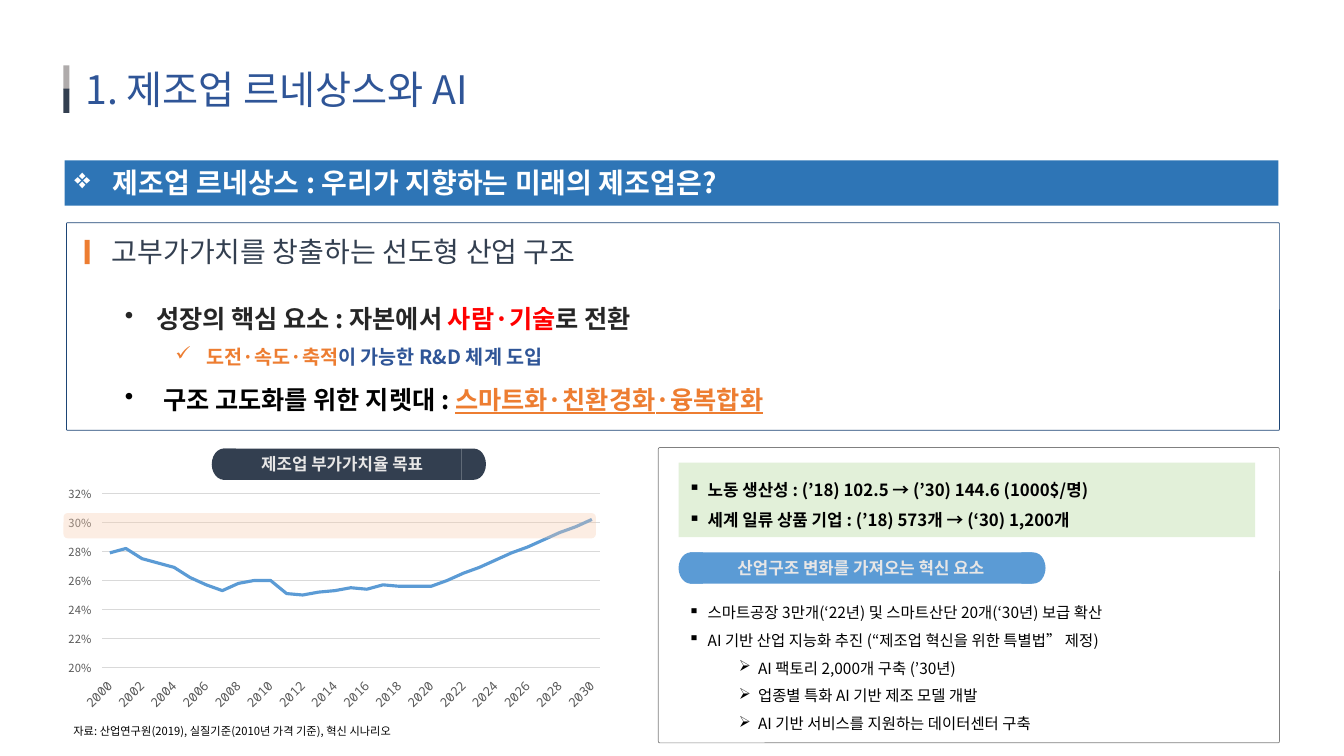
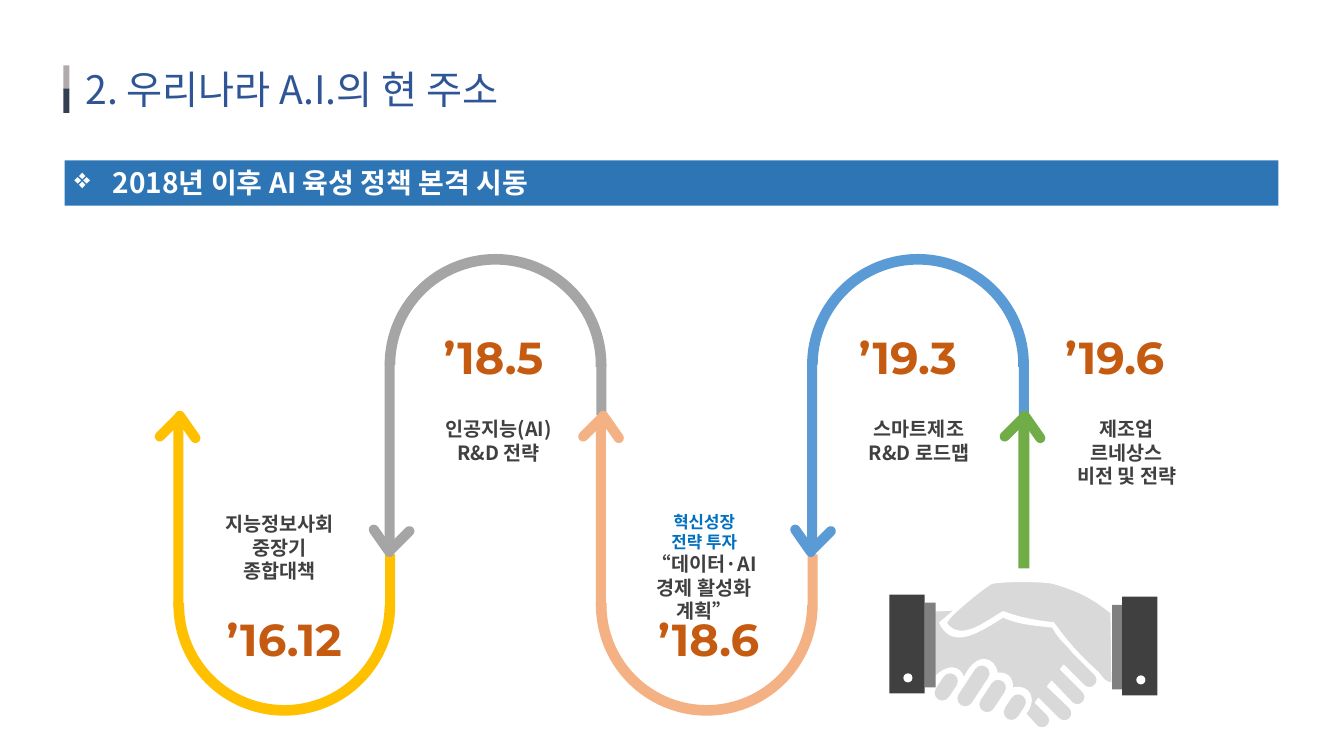
from dataclasses import dataclass
from typing import NamedTuple

from lxml.etree import SubElement
from pptx import Presentation
from pptx.chart.data import CategoryChartData
from pptx.dml.color import RGBColor
from pptx.enum.chart import (XL_AXIS_CROSSES as Crosses, XL_CHART_TYPE as ChartType,
                             XL_TICK_LABEL_POSITION as LabelPosition, XL_TICK_MARK as TickMark)
from pptx.enum.shapes import MSO_SHAPE as Preset
from pptx.enum.text import MSO_ANCHOR as Anchor, PP_ALIGN as Align
from pptx.oxml import parse_xml
from pptx.oxml.ns import nsdecls, qn
from pptx.shapes.autoshape import Shape
from pptx.slide import Slide
from pptx.util import Inches, Pt

COLORS = {
    "title": "2F5597", "navy": "333F50", "silver": "AFABAB", "band": "2E75B6",
    "white": "FFFFFF", "frame": "1D4575", "orange": "ED7D31", "ink": "262626",
    "red": "FF0000", "black": "000000", "pale": "E7E6E6", "blue": "5B9BD5",
    "grid": "D9D9D9", "label": "595959", "peach": "F8CBAD", "gray": "808080",
    "mint": "E2F0D9", "yellow": "FFC000", "road": "A5A5A5", "apricot": "F4B183",
    "green": "70AD47", "date": "C55A11", "dark": "404040", "azure": "0070C0",
}
KOREAN, LATIN, MONO, SYMBOL = "Noto Sans CJK KR", "Montserrat", "Noto Sans Mono", "OpenSymbol"


class Box(NamedTuple):
    left: float
    top: float
    width: float
    height: float


class Run(NamedTuple):
    text: str
    color: str
    size: float
    bold: bool = False
    underline: bool = False
    font: str = KOREAN


@dataclass
class Line:
    runs: list[Run]
    bullet: str = ""
    indent: float = 0
    hanging: float = 0
    level: int = 0
    spacing: float = 1.0
    align: Align = Align.LEFT


@dataclass
class Curve:
    color: str
    valley: bool
    head_shift: float = 0


@dataclass
class Milestone:
    date: str
    date_box: Box
    text_box: Box
    lines: list[Run]


def rgb(name: str) -> RGBColor:
    return RGBColor.from_string(COLORS[name])


def paint(shape: Shape, fill: str, line: str = "", weight: float = 0.5) -> Shape:
    shape.shadow.inherit = False
    shape.fill.solid()
    shape.fill.fore_color.rgb = rgb(fill)
    if line:
        shape.line.color.rgb = rgb(line)
        shape.line.width = Pt(weight)
    else:
        shape.line.fill.background()
    return shape


def add_shape(slide: Slide, preset: Preset, box: Box, fill: str, line: str = "",
              weight: float = 0.5, rotation: float = 0,
              adjustments: tuple[float, ...] = ()) -> Shape:
    shape = slide.shapes.add_shape(preset, *map(Inches, box))
    shape.rotation = rotation
    for index, value in enumerate(adjustments):
        shape.adjustments[index] = value
    return paint(shape, fill, line, weight)


def write(shape: Shape, lines: list[Line], anchor: Anchor = Anchor.MIDDLE) -> None:
    frame = shape.text_frame
    frame.word_wrap = True
    frame.vertical_anchor = anchor
    for index, line in enumerate(lines):
        paragraph = frame.add_paragraph() if index else frame.paragraphs[0]
        formats = {"alignment": line.align, "level": line.level, "line_spacing": line.spacing}
        for name, value in formats.items():
            setattr(paragraph, name, value)
        if line.bullet:
            properties = paragraph._p.get_or_add_pPr()
            properties.set("marL", str(Inches(line.indent)))
            properties.set("indent", str(-Inches(line.hanging)))
            SubElement(properties, qn("a:buFont")).set("typeface", SYMBOL)
            SubElement(properties, qn("a:buChar")).set("char", line.bullet)
        for item in line.runs:
            run = paragraph.add_run()
            run.text = item.text
            formats = {"name": item.font, "size": Pt(item.size), "bold": item.bold,
                       "underline": item.underline}
            for name, value in formats.items():
                setattr(run.font, name, value)
            run.font.color.rgb = rgb(item.color)
            SubElement(run._r.get_or_add_rPr(), qn("a:ea")).set("typeface", item.font)


def add_text(slide: Slide, box: Box, lines: list[Line], anchor: Anchor = Anchor.MIDDLE) -> None:
    write(slide.shapes.add_textbox(*map(Inches, box)), lines, anchor)


def centered(runs: list[Run]) -> list[Line]:
    return [Line([run], align=Align.CENTER) for run in runs]


def add_page(presentation: Presentation, title: str, heading: str) -> Slide:
    slide = presentation.slides.add_slide(presentation.slide_layouts[6])
    add_text(slide, Box(0.75, 0.5, 8.78, 0.76), [Line([Run(title, "title", 28)])])
    for top, color in ((0.65, "silver"), (0.88, "navy")):
        add_shape(slide, Preset.RECTANGLE, Box(0.63, top, 0.06, 0.24), color)
    band = add_shape(slide, Preset.RECTANGLE, Box(0.64, 1.59, 12.04, 0.45), "band")
    write(band, [Line([Run(heading, "white", 20, True)], "❖", 0.38, 0.38)], Anchor.TOP)
    return slide


def add_pill(slide: Slide, box: Box, body: float, color: str, text: str) -> None:
    center = add_shape(slide, Preset.RECTANGLE,
                       Box(box.left + 0.11, box.top, body, box.height), color)
    write(center, centered([Run(text, "pale", 12, True)]))
    for left, rotation in ((box.left + box.width - 0.24, 0), (box.left, 180)):
        add_shape(slide, Preset.FLOWCHART_DELAY, Box(left, box.top, 0.24, box.height),
                  color, rotation=rotation)


def add_rate_chart(slide: Slide, box: Box) -> None:
    data = CategoryChartData(number_format="0%")
    data.categories = [str(year) for year in range(2000, 2031)]
    data.add_series("Series 1", (
        0.279, 0.282, 0.275, 0.272, 0.269, 0.262, 0.257, 0.253, 0.258, 0.26, 0.26,
        0.251, 0.25, 0.252, 0.253, 0.255, 0.254, 0.257, 0.256, 0.256, 0.256,
        0.26, 0.265, 0.269, 0.274, 0.279, 0.283, 0.288, 0.293, 0.297, 0.302))
    chart = slide.shapes.add_chart(ChartType.LINE, *map(Inches, box), data).chart
    chart.has_legend = chart.has_title = False
    chart.font.name, chart.font.size = KOREAN, Pt(10)
    plot = chart.plots[0]
    plot.vary_by_categories = False
    series = plot.series[0]
    series.smooth = False
    series.format.line.color.rgb = rgb("blue")
    series.format.line.width = Pt(2.25)

    years, rates = chart.category_axis, chart.value_axis
    for axis, font, size in ((years, MONO, 9), (rates, KOREAN, 8)):
        axis.major_tick_mark = axis.minor_tick_mark = TickMark.NONE
        axis.tick_label_position = LabelPosition.LOW
        labels = axis.tick_labels.font
        labels.name, labels.size = font, Pt(size)
        labels.color.rgb = rgb("label")
    for name, value in {"minimum_scale": 0.2, "maximum_scale": 0.32, "major_unit": 0.02,
                        "crosses": Crosses.MINIMUM}.items():
        setattr(rates, name, value)
    rates.tick_labels.number_format = "0%"
    rates.tick_labels.number_format_is_linked = False
    rates.format.line.fill.background()
    for line in (years.format.line, rates.major_gridlines.format.line):
        line.color.rgb = rgb("grid")
        line.width = Pt(0.75)

    body = years._element.find(qn("c:txPr")).find(qn("a:bodyPr"))
    body.set("rot", "-2700000")
    body.set("vert", "horz")
    area = years._element.getparent()
    for layout in area.findall(qn("c:layout")):
        area.remove(layout)
    settings = {"layoutTarget": "inner", "xMode": "edge", "yMode": "edge",
                "x": 0.07, "y": 0.05, "w": 0.91, "h": 0.76}
    entries = "".join(f'<c:{name} val="{value}"/>' for name, value in settings.items())
    area.insert(0, parse_xml(
        f'<c:layout {nsdecls("c")}><c:manualLayout>{entries}</c:manualLayout></c:layout>'))


def build_renaissance(presentation: Presentation) -> None:
    slide = add_page(presentation, "1. 제조업 르네상스와 AI",
                     "제조업 르네상스 : 우리가 지향하는 미래의 제조업은?")
    add_shape(slide, Preset.ROUNDED_RECTANGLE, Box(0.66, 2.21, 12.03, 2.06), "white", "frame",
              adjustments=(0.005,))
    add_shape(slide, Preset.RECTANGLE, Box(0.84, 2.38, 0.05, 0.24), "orange")
    add_text(slide, Box(1.01, 2.35, 11.16, 0.29),
             [Line([Run("고부가가치를 창출하는 선도형 산업 구조", "navy", 20)])])
    add_text(slide, Box(1.14, 2.81, 10.9, 0.98), [
        Line([Run("성장의 핵심 요소 : 자본에서 ", "ink", 18, True),
              Run("사람·기술", "red", 18, True), Run("로 전환", "ink", 18, True)],
             "•", 0.31, 0.31, spacing=1.5),
        Line([Run("도전·속도·축적", "orange", 14, True),
              Run("이 가능한 R&D 체계 도입", "title", 14, True)],
             "✓", 0.81, 0.31, 1, 1.5),
        Line([Run("구조 고도화를 위한 지렛대 : ", "black", 18, True),
              Run("스마트화·친환경화·융복합화", "orange", 18, True, True)],
             "•", 0.38, 0.38, spacing=1.5),
    ], Anchor.TOP)

    add_pill(slide, Box(2.1, 4.45, 2.72, 0.31), 2.37, "navy", "제조업 부가가치율 목표")
    add_rate_chart(slide, Box(0.63, 4.78, 5.43, 2.28))
    target = add_shape(slide, Preset.ROUNDED_RECTANGLE, Box(0.63, 5.09, 5.28, 0.25), "peach")
    tint = target.fill._xPr.find(qn("a:solidFill"))[0]
    SubElement(tint, qn("a:alpha")).set("val", "34000")
    add_text(slide, Box(0.63, 7.06, 3.74, 0.31), [Line([Run(
        "자료: 산업연구원(2019), 실질기준(2010년 가격 기준), 혁신 시나리오", "black", 8)],
        spacing=1.5)])

    add_shape(slide, Preset.ROUNDED_RECTANGLE, Box(6.53, 4.44, 6.16, 2.93), "white", "gray",
              adjustments=(0.005,))
    goals = add_shape(slide, Preset.RECTANGLE, Box(6.73, 4.59, 5.72, 0.74), "mint")
    write(goals, [Line([Run(text, "black", 12, True)], "▪", 0.19, 0.19, spacing=1.5) for text in (
        "노동 생산성 : (’18) 102.5 → (’30) 144.6 (1000$/명)",
        "세계 일류 상품 기업 : (’18) 573개 → (‘30) 1,200개")])
    measures = (
        (0, "스마트공장 3만개(‘22년) 및 스마트산단 20개(‘30년) 보급 확산"),
        (0, "AI 기반 산업 지능화 추진 (“제조업 혁신을 위한 특별법” 제정)"),
        (1, "AI 팩토리 2,000개 구축 (’30년)"),
        (1, "업종별 특화 AI 기반 제조 모델 개발"),
        (1, "AI 기반 서비스를 지원하는 데이터센터 구축"),
    )
    add_text(slide, Box(6.73, 6.1, 5.72, 0.96), [
        Line([Run(text, "black", 11)], "▪➢"[level], 0.19 + 0.5 * level, 0.19, level, 1.5)
        for level, text in measures])
    add_pill(slide, Box(6.73, 5.48, 3.64, 0.31), 3.4, "blue", "산업구조 변화를 가져오는 혁신 요소")


def add_outline(slide: Slide, start: tuple[float, float], steps: list[tuple[float, ...]]) -> None:
    builder = slide.shapes.build_freeform(*map(Inches, start))
    builder.add_line_segments([tuple(map(Inches, step[-2:])) for step in steps], close=True)
    shape = paint(builder.convert_to_shape(), "grid", "white", 1)
    for segment, step in zip(list(shape._element.iter(qn("a:lnTo"))), steps):
        if len(step) == 6:
            curve = parse_xml(f'<a:cubicBezTo {nsdecls("a")}/>')
            for x, y in zip(step[::2], step[1::2]):
                point = SubElement(curve, qn("a:pt"))
                point.set("x", str(Inches(x) - shape.left))
                point.set("y", str(Inches(y) - shape.top))
            segment.getparent().replace(segment, curve)


def add_handshake(slide: Slide) -> None:
    add_outline(slide, (9.95, 6.07), [
        (9.8, 6.15, 9.54, 6.38, 9.39, 6.19), (9.35, 6.15, 9.77, 5.82, 9.83, 5.79),
        (9.89, 5.76, 10.39, 5.76, 10.46, 5.79), (10.7, 5.86, 10.85, 5.94, 11.02, 6.08),
        (11.03, 6.77), (10.98, 6.78, 10.96, 6.76, 10.89, 6.67),
        (10.7, 6.5, 10.57, 6.35, 10.45, 6.18), (10.27, 6.16, 10.11, 6.13, 9.95, 6.07)])
    for left, top, height in ((9.3, 6.66, 0.31), (9.57, 6.57, 0.47),
                              (9.76, 6.72, 0.37), (9.98, 6.87, 0.29)):
        add_shape(slide, Preset.ROUNDED_RECTANGLE, Box(left, top, 0.17, height), "grid",
                  "white", 1, 33.4, (0.5,))
    add_outline(slide, (9.47, 6.05), [
        (9.32, 6.18), (9.45, 6.44, 9.69, 6.28, 9.95, 6.12),
        (10.1, 6.19, 10.26, 6.2, 10.44, 6.22), (10.51, 6.35, 10.58, 6.39, 10.64, 6.47),
        (10.86, 6.69), (10.89, 6.72, 10.89, 6.77, 10.86, 6.8),
        (10.83, 6.83, 10.78, 6.83, 10.75, 6.8), (10.55, 6.6), (10.52, 6.64), (10.74, 6.86),
        (10.77, 6.89, 10.77, 6.94, 10.74, 6.97), (10.71, 7, 10.66, 7, 10.63, 6.97),
        (10.43, 6.76), (10.39, 6.81), (10.61, 7.02),
        (10.64, 7.05, 10.64, 7.1, 10.61, 7.13), (10.58, 7.16, 10.53, 7.16, 10.5, 7.13),
        (10.3, 6.93), (10.27, 6.97), (10.39, 7.09),
        (10.42, 7.12, 10.42, 7.17, 10.39, 7.2), (10.36, 7.23, 10.31, 7.23, 10.28, 7.2),
        (10.18, 7.09), (10.17, 7.08), (10.2, 7.04), (10.29, 6.86, 10.13, 6.79, 10.04, 6.83),
        (10.05, 6.71, 9.97, 6.67, 9.89, 6.68), (9.87, 6.53, 9.69, 6.45, 9.56, 6.73),
        (9.52, 6.61, 9.41, 6.58, 9.27, 6.72), (9.27, 6.06)])
    for cuff, sleeve, button, top in ((11.03, 11.13, 11.27, 5.92), (9.17, 8.82, 8.96, 5.9)):
        add_shape(slide, Preset.RECTANGLE, Box(cuff, top + 0.08, 0.11, 0.84), "gray")
        add_shape(slide, Preset.RECTANGLE, Box(sleeve, top, 0.35, 0.98), "dark")
        add_shape(slide, Preset.OVAL, Box(button, top + 0.78, 0.09, 0.09), "white")


def add_road(slide: Slide) -> None:
    curves = [Curve("yellow", True), Curve("road", False, 0.01),
              Curve("apricot", True, 0.01), Curve("blue", False)]
    lefts = [1.72 + (10.1 - 1.72) / 4 * index for index in range(5)]
    for left, curve in zip(lefts, curves):
        arc_top, long_top, short_top = (4.9, 4.2, 5.5) if curve.valley else (2.52, 3.61, 3.61)
        add_shape(slide, Preset.BLOCK_ARC, Box(left, arc_top, 2.2, 2.2), curve.color,
                  rotation=180 if curve.valley else 0, adjustments=(108, 0.656, 0.048))
        add_shape(slide, Preset.RECTANGLE, Box(left, long_top, 0.1, 1.81), curve.color)
        add_shape(slide, Preset.RECTANGLE, Box(left + 2.1, short_top, 0.1, 0.51), curve.color)
    add_shape(slide, Preset.RECTANGLE, Box(lefts[-1], 4.18, 0.11, 1.46), "green")
    for left, curve in zip(lefts, curves + [Curve("green", True)]):
        top, angles = (4.05, (225, 145)) if curve.valley else (5.18, (325, 45))
        for offset, angle in zip((-0.09, 0.09), angles):
            add_shape(slide, Preset.ROUNDED_RECTANGLE,
                      Box(left + offset + curve.head_shift, top, 0.1, 0.37),
                      curve.color, rotation=angle, adjustments=(0.5,))


def build_policy(presentation: Presentation) -> None:
    slide = add_page(presentation, "2. 우리나라 A.I.의 현 주소", "2018년 이후 AI 육성 정책 본격 시동")
    add_handshake(slide)
    add_road(slide)

    def dark(*texts: str) -> list[Run]:
        return [Run(text, "dark", 14, True) for text in texts]

    investment = [Run(text, "azure", 12, True) for text in ("혁신성장", "전략 투자")]
    for stone in (
        Milestone("’16.12", Box(1.77, 6.02, 2.1, 0.64), Box(2.01, 5.03, 1.53, 0.81),
                  dark("지능정보사회 중장기", "종합대책")),
        Milestone("’18.5", Box(3.85, 3.22, 2.09, 0.64), Box(4.18, 4.09, 1.53, 0.57),
                  dark("인공지능(AI) R&D 전략")),
        Milestone("’18.6", Box(5.98, 6.02, 2.1, 0.64), Box(6.22, 5.03, 1.53, 0.98),
                  investment + dark("“데이터·AI경제 활성화 계획”")),
        Milestone("’19.3", Box(8.03, 3.22, 1.95, 0.64), Box(8.35, 4.09, 1.53, 0.57),
                  dark("스마트제조 R&D 로드맵")),
        Milestone("’19.6", Box(10.08, 3.22, 1.95, 0.64), Box(10.41, 4.09, 1.53, 0.81),
                  dark("제조업", "르네상스", "비전 및 전략")),
    ):
        date = Run(stone.date, "date", 32, True, font=LATIN)
        add_text(slide, stone.date_box, centered([date]), Anchor.TOP)
        add_text(slide, stone.text_box, centered(stone.lines), Anchor.TOP)


def main() -> None:
    presentation = Presentation()
    presentation.slide_width, presentation.slide_height = Inches(13.33), Inches(7.5)
    build_renaissance(presentation)
    build_policy(presentation)
    presentation.save("out.pptx")


if __name__ == "__main__":
    main()
